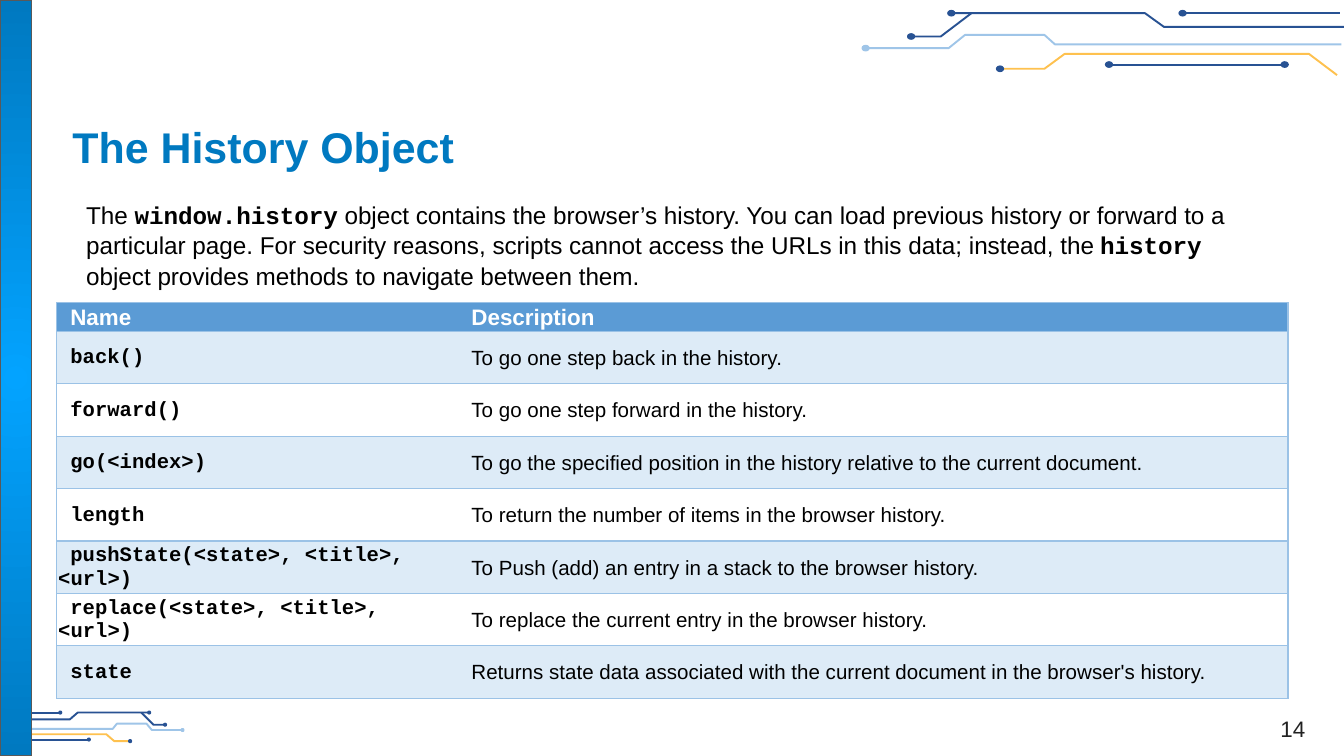
from lxml import etree
from pptx import Presentation
from pptx.dml.color import RGBColor
from pptx.enum import shapes, text
from pptx.oxml import ns
from pptx.util import Cm, Pt

NAVY = RGBColor(0x28, 0x52, 0x93)
SKY = RGBColor(0x9F, 0xC5, 0xE8)
GOLD = RGBColor(0xFE, 0xC1, 0x4F)
BLUE = RGBColor(0x00, 0x79, 0xC0)
BRIGHT = RGBColor(0x03, 0xA3, 0xFF)
GREY = RGBColor(0x59, 0x59, 0x59)
DARK = RGBColor(0x22, 0x22, 0x22)
BLACK = RGBColor(0, 0, 0)
WHITE = RGBColor(0xFF, 0xFF, 0xFF)
HEADER = RGBColor(0x5B, 0x9B, 0xD5)
BAND = RGBColor(0xDD, 0xEB, 0xF7)
BORDER = RGBColor(0x9B, 0xC2, 0xE6)

prs = Presentation()
prs.slide_width, prs.slide_height = Cm(25.4), Cm(14.28)
s = prs.slides.add_slide(prs.slide_layouts[6])


def style_run(r, size, color, bold=False, name="Arial"):
    r.font.size, r.font.bold, r.font.name = Pt(size), bold, name
    r.font.color.rgb = color


def add_text(x, y, w, h, anchor, inset_y):
    tf = s.shapes.add_textbox(Cm(x), Cm(y), Cm(w), Cm(h)).text_frame
    tf.word_wrap, tf.vertical_anchor = True, anchor
    tf.margin_left = tf.margin_right = Cm(0.18)
    tf.margin_top = tf.margin_bottom = Cm(inset_y)
    return tf


# Circuit traces: line colour, dot colour, points; the dots sit on the last points
bottom = [
    (NAVY, NAVY, 1, [(0.08, 13.59), (1.32, 13.59), (1.47, 13.46), (2.82, 13.46)]),
    (NAVY, NAVY, 1, [(2.67, 13.46), (2.9, 13.69), (3.12, 13.69)]),
    (NAVY, NAVY, 1, [(0, 13.46), (1.14, 13.46)]),
    (GOLD, NAVY, 1, [(0.03, 14.07), (0.23, 13.87), (2.01, 13.87), (2.16, 14), (2.46, 14)]),
    (NAVY, NAVY, 1, [(0.41, 13.97), (1.68, 13.97)]),
    (SKY, SKY, 1, [(0.15, 13.77), (2.13, 13.77), (2.21, 13.67), (2.77, 13.67),
                   (2.87, 13.79), (3.45, 13.79)]),
]
top = [
    (NAVY, NAVY, 1, [(25.4, 0.51), (22, 0.51), (21.64, 0.25), (17.98, 0.25)]),
    (NAVY, NAVY, 1, [(18.36, 0.25), (17.78, 0.69), (17.22, 0.69)]),
    (NAVY, NAVY, 1, [(25.32, 0.25), (22.35, 0.25)]),
    (GOLD, NAVY, 1, [(25.27, 1.42), (24.74, 1.02), (20.12, 1.02), (19.74, 1.3), (18.9, 1.3)]),
    (NAVY, NAVY, 2, [(24.28, 1.22), (20.96, 1.22)]),
    (SKY, SKY, 1, [(25.35, 0.84), (19.94, 0.84), (19.74, 0.66), (18.24, 0.66),
                   (17.93, 0.91), (16.36, 0.91)]),
]
for traces, dot_w, dot_h in ((bottom, 0.05, 0.05), (top, 0.13, 0.1)):
    for color, dot_color, dots, points in traces:
        pts = [(Cm(x), Cm(y)) for x, y in points]
        if len(pts) == 2:
            sp = s.shapes.add_connector(shapes.MSO_CONNECTOR.STRAIGHT, *pts[0], *pts[1])
            etree.SubElement(sp._element.spPr, ns.qn("a:effectLst"))
        else:
            fb = s.shapes.build_freeform(*pts[0])
            fb.add_line_segments(pts[1:], close=False)
            sp = fb.convert_to_shape()
            sp.fill.background()
            sp.shadow.inherit = False
        sp.line.color.rgb, sp.line.width = color, Pt(1.03)
        for x, y in points[-dots:]:
            sp = s.shapes.add_shape(shapes.MSO_SHAPE.OVAL, Cm(x - dot_w / 2),
                                    Cm(y - dot_h / 2), Cm(dot_w), Cm(dot_h))
            sp.shadow.inherit = False
            sp.fill.solid()
            sp.fill.fore_color.rgb = sp.line.color.rgb = dot_color
            sp.line.width = Pt(0.75)

# Left bar with a gradient from its centre
sp = s.shapes.add_shape(shapes.MSO_SHAPE.RECTANGLE, 0, 0, Cm(0.6), prs.slide_height)
sp.shadow.inherit = False
sp.line.color.rgb, sp.line.width = GREY, Pt(0.75)
sp.fill.gradient()
for stop, color in zip(sp.fill.gradient_stops, (BRIGHT, BLUE)):
    stop.color.rgb = color
grad = sp._element.spPr.find(ns.qn("a:gradFill"))
grad.remove(grad.find(ns.qn("a:lin")))
path = etree.SubElement(grad, ns.qn("a:path"), {"path": "circle"})
etree.SubElement(path, ns.qn("a:fillToRect"), {side: "50000" for side in "ltrb"})

# Title
tf = add_text(1.19, 2.03, 22.56, 1.47, text.MSO_ANCHOR.MIDDLE, 0.18)
tf.text = "The History Object"
style_run(tf.paragraphs[0].runs[0], 23, BLUE, True)

# Introduction, with code words in bold Courier New
tf = add_text(1.45, 3.58, 22.73, 9.42, text.MSO_ANCHOR.TOP, 0.18)
p = tf.paragraphs[0]
p.line_spacing = 1.04
for words, code in (
    ("The ", False),
    ("window.history", True),
    (" object contains the browser’s history. You can load previous history or forward "
     "to a particular page. For security reasons, scripts cannot access the URLs in this "
     "data; instead, the ", False),
    ("history", True),
    (" object provides methods to navigate between them.", False),
):
    r = p.add_run()
    r.text = words
    style_run(r, 13, BLACK, code, "Courier New" if code else "Arial")

# Slide number
tf = add_text(23.62, 13, 1.63, 1.12, text.MSO_ANCHOR.BOTTOM, 0.1)
tf.text = "14"
tf.paragraphs[0].alignment = text.PP_ALIGN.CENTER
style_run(tf.paragraphs[0].runs[0], 12, DARK)

# Table of history members
rows = [
    ("Name", "Description"),
    ("back()", "To go one step back in the history."),
    ("forward()", "To go one step forward in the history."),
    ("go(<index>)", "To go the specified position in the history relative to the current document."),
    ("length", "To return the number of items in the browser history."),
    ("pushState(<state>, <title>, <url>)", "To Push (add) an entry in a stack to the browser history."),
    ("replace(<state>, <title>, <url>)", "To replace the current entry in the browser history."),
    ("state", "Returns state data associated with the current document in the browser's history."),
]
widths, head_h, row_h = (7.7, 15.57), 0.48, 0.99
tbl = s.shapes.add_table(len(rows), 2, Cm(1.07), Cm(5.72), Cm(sum(widths)),
                         Cm(head_h + row_h * (len(rows) - 1))).table
tbl.first_row = tbl.horz_banding = False
for col, w in zip(tbl.columns, widths):
    col.width = Cm(w)
for i, row in enumerate(rows):
    tbl.rows[i].height = Cm(row_h if i else head_h)
    for j, words in enumerate(row):
        cell = tbl.cell(i, j)
        cell.vertical_anchor = text.MSO_ANCHOR.MIDDLE
        cell.margin_left = cell.margin_right = cell.margin_top = Cm(0.03)
        cell.margin_bottom = 0
        cell.text = words
        p = cell.text_frame.paragraphs[0]
        p._p.get_or_add_pPr().set("indent", str(Cm((0.23, 0.11)[j])))
        if i == 0:
            style_run(p.runs[0], 12, WHITE, True)
        else:
            style_run(p.runs[0], 11, BLACK, j == 0, ("Courier New", "Arial")[j])

        # Borders: outer frame and row lines, none between the columns
        inner = "R" if j == 0 else "L"
        for side in "LRTB":
            ln = etree.SubElement(cell._tc.get_or_add_tcPr(), ns.qn("a:ln" + side),
                                  {"w": str(Pt(0.75))})
            if side == inner:
                etree.SubElement(ln, ns.qn("a:noFill"))
            else:
                fill = etree.SubElement(ln, ns.qn("a:solidFill"))
                etree.SubElement(fill, ns.qn("a:srgbClr"), {"val": str(BORDER)})
        if i and i % 2 == 0:
            cell.fill.background()
        else:
            cell.fill.solid()
            cell.fill.fore_color.rgb = BAND if i else HEADER

prs.save("out.pptx")
